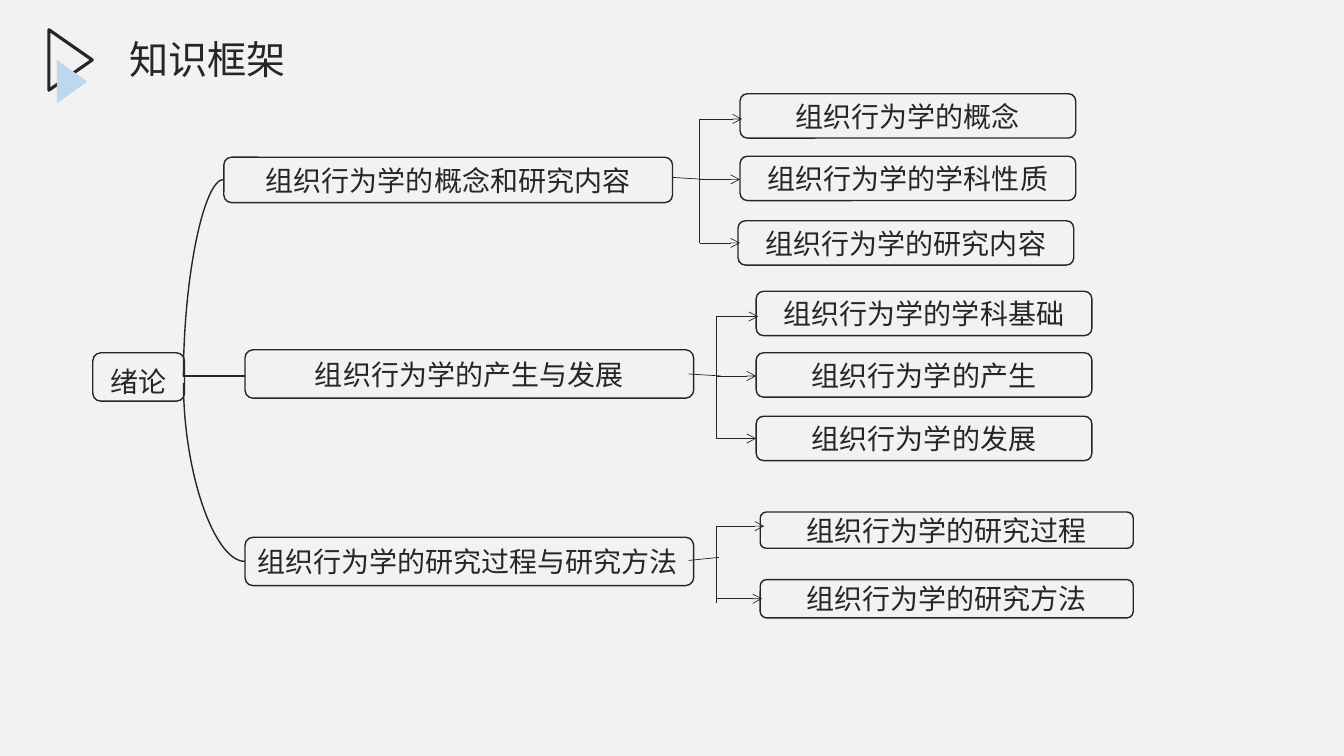
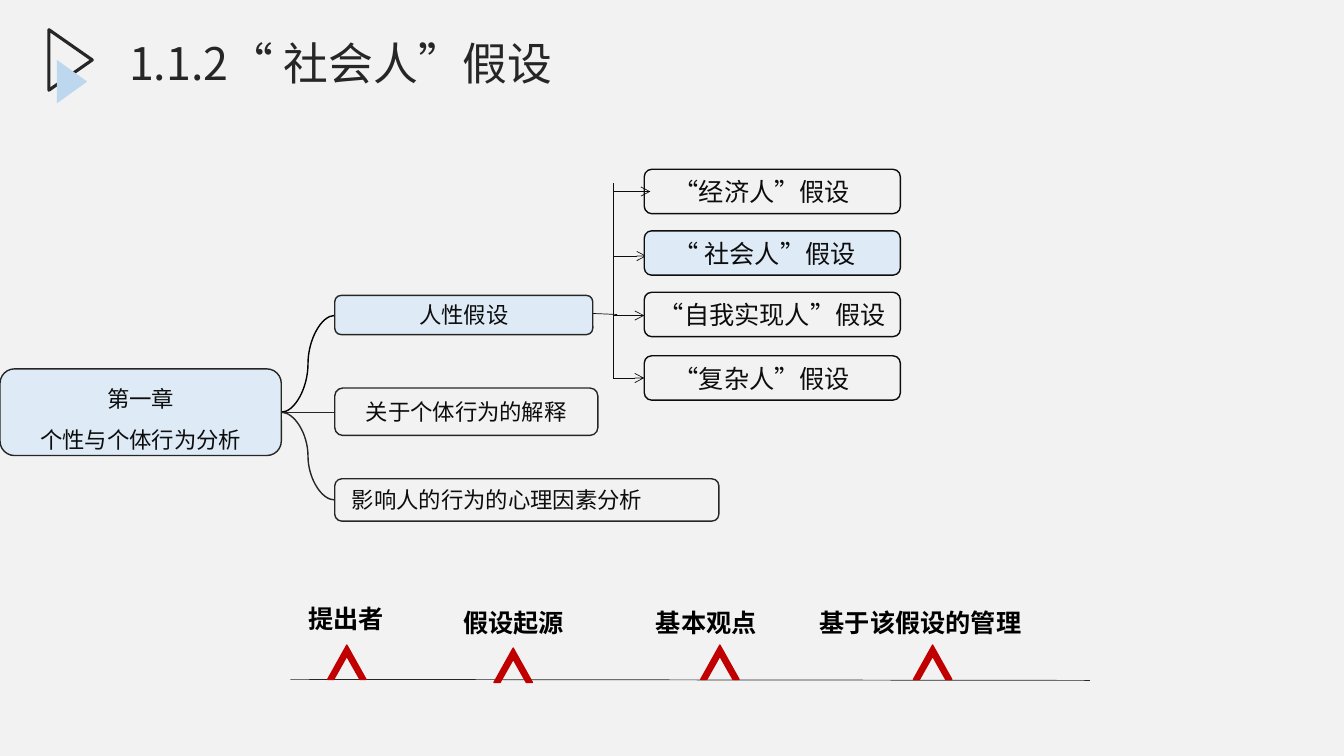
from dataclasses import dataclass

from lxml.etree import SubElement
from pptx import Presentation
from pptx.dml.color import RGBColor as RGB
from pptx.enum.shapes import MSO_CONNECTOR as Wire, MSO_SHAPE as Form
from pptx.enum.text import MSO_ANCHOR as Anchor, MSO_AUTO_SIZE as Fit, PP_ALIGN as Align
from pptx.oxml.ns import qn
from pptx.util import Inches, Pt


@dataclass(frozen=True)
class Theme:
    font: str = "Noto Sans CJK SC"
    back: RGB = RGB(0xF2, 0xF2, 0xF2)
    dark: RGB = RGB(0x26, 0x26, 0x26)
    ink: RGB = RGB(0x0D, 0x0D, 0x0D)
    black: RGB = RGB(0, 0, 0)
    sky: RGB = RGB(0xBD, 0xD7, 0xEE)
    pale: RGB = RGB(0xDE, 0xEB, 0xF7)
    red: RGB = RGB(0xC0, 0, 0)
    thin: Pt = Pt(0.5)
    edge: Pt = Pt(1)
    bold: Pt = Pt(2.25)
    root: int = 16
    leaf: int = 18
    node: int = 20
    head: int = 28
    large: int = 32


T = Theme()


def write(frame, text, size, color=T.dark, align=Align.CENTER, bold=False,
          space=None, anchor=None, left=0.1):
    """Fill a text frame, one paragraph for each line of text."""
    frame.word_wrap = True
    frame.margin_left = Inches(left)
    if anchor is not None:
        frame.vertical_anchor = anchor
    for i, line in enumerate(text.split("\n")):
        para = frame.add_paragraph() if i else frame.paragraphs[0]
        para.alignment = align
        if space:
            para.line_spacing = space
        run = para.add_run()
        run.text = line
        font = run.font
        font.name, font.size, font.bold = T.font, Pt(size), bold
        font.color.rgb = color
        SubElement(run._r.get_or_add_rPr(), qn("a:ea"), typeface=T.font)


def link(slide, x1, y1, x2, y2, color=T.dark, width=T.thin, kind=Wire.STRAIGHT, arrow=False):
    ends = [Inches(v) for v in (x1, y1, x2, y2)]
    wire = slide.shapes.add_connector(kind, *ends)
    wire.line.color.rgb = color
    wire.line.width = width
    if arrow:
        SubElement(wire.line._get_or_add_ln(), qn("a:tailEnd"), type="arrow")
    SubElement(wire._element.spPr, qn("a:effectLst"))
    return wire


deck = Presentation()
deck.slide_width, deck.slide_height = Inches(13.33), Inches(7.5)

# Shared layout: background, title place and corner mark
base = deck.slide_layouts[5]
base.background.fill.solid()
base.background.fill.fore_color.rgb = T.back
spot = base.placeholders[0]
spot.left, spot.top, spot.width, spot.height = map(Inches, (1.18, 0.3, 7.63, 0.89))
spot.text_frame.vertical_anchor = Anchor.TOP
spot.text_frame.auto_size = Fit.NONE

frame, theory = slides = [deck.slides.add_slide(base) for _ in range(2)]
for x, y, w, h, fill in ((0.4, 0.38, 0.6, 0.43, None), (0.5, 0.66, 0.43, 0.3, T.sky)):
    mark = frame.shapes.add_shape(Form.ISOSCELES_TRIANGLE, *map(Inches, (x, y, w, h)))
    mark.rotation = 90
    mark.shadow.inherit = False
    if fill:
        mark.fill.solid()
        mark.fill.fore_color.rgb = fill
        mark.line.fill.background()
    else:
        mark.fill.background()
        mark.line.color.rgb = T.dark
        mark.line.width = T.bold
    base.shapes.element.append(mark.element)

heads = (("知识框架", T.head), ("1.1.2“ 社会人”假设", T.large))
for slide, (text, size) in zip(slides, heads):
    write(slide.shapes.title.text_frame, text, size, align=Align.LEFT)

# Forks: slide, colour, trunk x, top, bottom, stem, (row y, arrow tip)
forks = (
    (frame, T.dark, 6.94, 1.18, 2.41, (6.67, 1.76, 6.99, 1.78),
     ((1.18, 7.36), (1.78, 7.34), (2.41, 7.34))),
    (frame, T.dark, 7.1, 3.14, 4.35, (6.83, 3.71, 7.15, 3.73),
     ((3.14, 7.52), (3.73, 7.5), (4.35, 7.5))),
    (frame, T.dark, 7.11, 5.22, 5.98, (6.83, 5.56, 7.13, 5.53),
     ((5.22, 7.58), (5.94, 7.56))),
    (theory, T.ink, 6.08, 1.82, 3.75, (5.88, 3.11, 6.12, 3.12),
     ((1.9, 6.45), (2.54, 6.41), (3.13, 6.39), (3.75, 6.39))),
)
for slide, color, x, top, end, stem, rows in forks:
    link(slide, x, end, x, top, color)
    link(slide, *stem, color)
    for y, tip in rows:
        link(slide, x, y, tip, y, color, arrow=True)

# Branches from each root
link(frame, 1.82, 3.73, 2.43, 3.73, width=T.edge)
for x, y, start in ((2.22, 1.78, 3.74), (2.43, 5.57, 3.8)):
    arc = link(frame, x, y, 1.82, start, width=T.edge, kind=Wire.CURVE)
    arc._element.spPr.find(qn("a:prstGeom")).set("prst", "curvedConnector2")
link(theory, 2.79, 4.09, 3.32, 4.09, width=T.edge)
for y, color in ((3.13, T.black), (4.96, T.dark)):
    link(theory, 2.79, 4.09, 3.32, y, color, T.edge, Wire.CURVE)

# Nodes: slide, left, top, width, height, text, text size, fill, edge colour, text format
side = dict(align=Align.LEFT, left=0.27)
nodes = [
    (frame, 0.92, 3.5, 0.91, 0.48, "绪论", T.node, None, T.dark, dict(space=Pt(30))),
    (frame, 2.22, 1.56, 4.45, 0.45, "组织行为学的概念和研究内容", T.node, None, T.dark, {}),
    (frame, 2.43, 3.47, 4.45, 0.48, "组织行为学的产生与发展", T.node, None, T.dark, {}),
    (frame, 2.43, 5.33, 4.45, 0.48, "组织行为学的研究过程与研究方法", T.node, None, T.dark,
     dict(align=Align.LEFT)),
    (theory, 0, 3.66, 2.79, 0.86, "第一章\n个性与个体行为分析", T.root, T.pale, T.dark,
     dict(space=1.5)),
    (theory, 3.32, 2.93, 2.56, 0.39, "人性假设", T.root, T.pale, T.dark, {}),
    (theory, 3.32, 3.85, 2.61, 0.47, "关于个体行为的解释", T.root, None, T.dark, {}),
    (theory, 3.32, 4.75, 3.81, 0.42, "影响人的行为的心理因素分析", T.root, None, T.dark,
     dict(align=Align.LEFT, left=0.15)),
]
leaves = (
    (7.34, 0.93, 3.33, 0.44, "概念"), (7.34, 1.55, 3.33, 0.44, "学科性质"),
    (7.32, 2.19, 3.33, 0.44, "研究内容"), (7.5, 2.89, 3.33, 0.44, "学科基础"),
    (7.5, 3.5, 3.33, 0.44, "产生"), (7.5, 4.13, 3.33, 0.44, "发展"),
    (7.54, 5.08, 3.7, 0.36, "研究过程"), (7.54, 5.75, 3.7, 0.38, "研究方法"),
)
nodes += [(frame, *place, "组织行为学的" + text, T.node, None, T.dark, {})
          for *place, text in leaves]
views = ((1.68, "“经济人”假设", None, side), (2.29, "“ 社会人”假设", T.pale, side),
         (2.9, "“自我实现人”假设", None, {}), (3.53, "“复杂人”假设", None, side))
nodes += [(theory, 6.39, y, 2.54, 0.44, text, T.leaf, fill, T.ink, form)
          for y, text, fill, form in views]

for slide, x, y, w, h, text, size, fill, edge, form in nodes:
    box = slide.shapes.add_shape(Form.ROUNDED_RECTANGLE, *map(Inches, (x, y, w, h)))
    box.shadow.inherit = False
    if fill:
        box.fill.solid()
        box.fill.fore_color.rgb = fill
    else:
        box.fill.background()
    box.line.color.rgb = edge
    box.line.width = T.edge
    color = T.dark if slide is frame else T.ink
    write(box.text_frame, text, size, color, anchor=Anchor.MIDDLE, **form)

# Topic line: label left, top, width, text, then the peak of its chevron
link(theory, 2.88, 6.74, 10.81, 6.75)
topics = (
    (2.71, 5.62, 1.45, "提出者", 3.44, 6.4),
    (4.37, 5.66, 1.45, "假设起源", 5.09, 6.43),
    (6.28, 5.66, 1.45, "基本观点", 7.14, 6.4),
    (7.98, 5.66, 2.3, "基于该假设的管理", 9.25, 6.4),
)
bends = ((0.19, 0.34), (0.13, 0.34), (0, 0.11), (-0.13, 0.34), (-0.19, 0.34))
for x, y, w, text, px, py in topics:
    label = theory.shapes.add_textbox(*map(Inches, (x, y, w, 0.71)))
    write(label.text_frame, text, T.leaf, T.black, bold=True, anchor=Anchor.BOTTOM)
    pen = theory.shapes.build_freeform(Inches(px), Inches(py))
    pen.add_line_segments([(Inches(px + dx), Inches(py + dy)) for dx, dy in bends])
    peak = pen.convert_to_shape()
    peak.shadow.inherit = False
    peak.fill.solid()
    peak.fill.fore_color.rgb = T.red
    peak.line.color.rgb = T.red
    peak.line.width = T.edge

deck.save("out.pptx")
